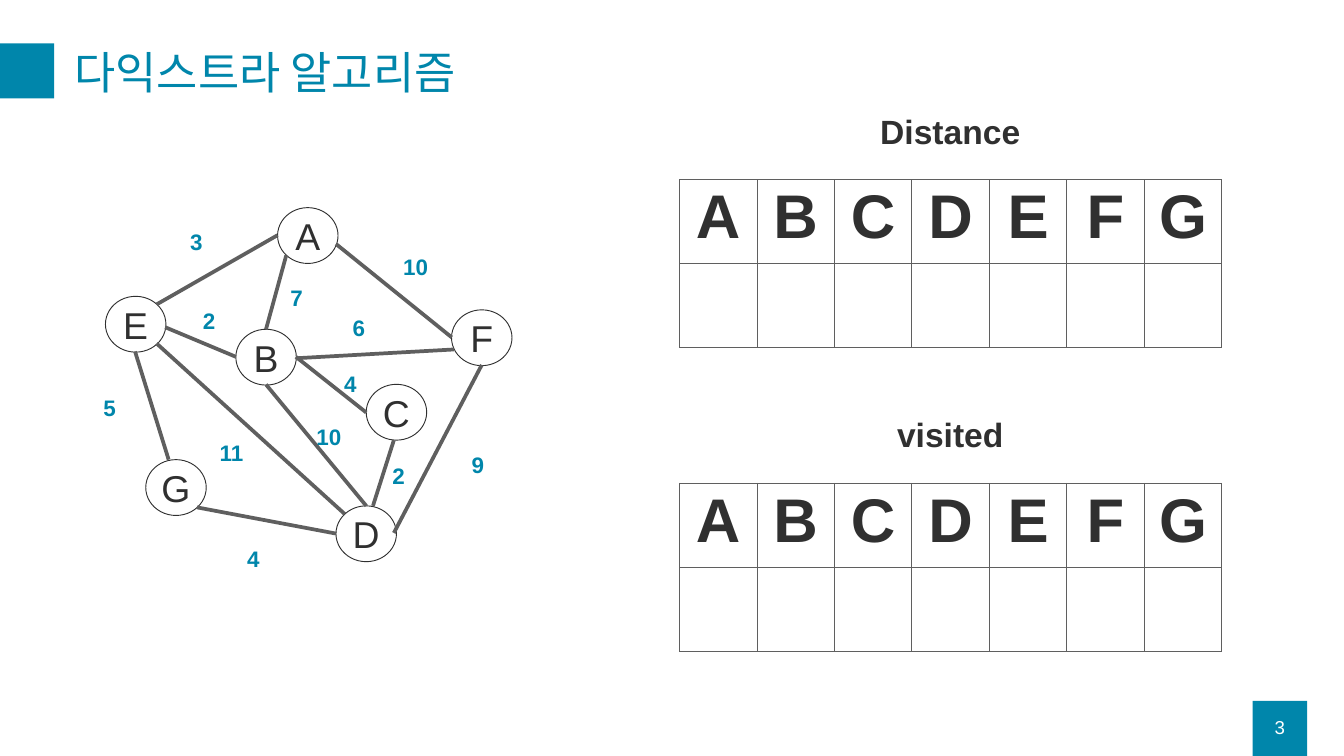
import pptx
import pptx.dml.color
import pptx.enum.shapes
import pptx.enum.text
import pptx.oxml
import pptx.oxml.ns
import pptx.util
from lxml import etree

Pt = pptx.util.Pt
ALIGN = pptx.enum.text.PP_ALIGN
ANCHOR = pptx.enum.text.MSO_ANCHOR
SHAPES = pptx.enum.shapes.MSO_SHAPE
TEAL, INK, GREY, WHITE = "0086AB", "303030", "5F5F5F", "FFFFFF"


def color(target, value):
    """Give a font, fill or line format a solid colour from a hex string."""
    if hasattr(target, "solid"):
        target.solid()
        target = target.fore_color
    else:
        target = target.color
    target.rgb = pptx.dml.color.RGBColor.from_string(value)


def write(frame, text, size=24, ink=TEAL, bold=False, align=ALIGN.LEFT, anchor=ANCHOR.TOP):
    frame.word_wrap = True
    frame.vertical_anchor = anchor
    para = frame.paragraphs[0]
    para.alignment = align
    span = para.add_run()
    span.text = text
    span.font.name = "Arial"
    span.font.size = Pt(size)
    span.font.bold = bold
    color(span.font, ink)


deck = pptx.Presentation()
deck.slide_width, deck.slide_height = Pt(1440), Pt(810)
page = deck.slides.add_slide(deck.slide_layouts[5])

# Accent squares, title and page number
for left, top in [(1342, 751), (-0.5, 46.5)]:
    square = page.shapes.add_shape(SHAPES.RECTANGLE, Pt(left), Pt(top), Pt(58.5), Pt(59))
    square.shadow.inherit = False
    color(square.fill, TEAL)
    square.line.fill.background()

title = page.shapes.title
title.left, title.top, title.width, title.height = Pt(72.7), Pt(37.5), Pt(1314), Pt(85)
title.text_frame.auto_size = pptx.enum.text.MSO_AUTO_SIZE.NONE
write(title.text_frame, "다익스트라 알고리즘", size=48, anchor=ANCHOR.MIDDLE)
title.text_frame.paragraphs[0].line_spacing = 0.9

number = page.shapes.add_textbox(Pt(1342), Pt(757.5), Pt(58.5), Pt(43))
write(number.text_frame, "3", size=20, ink=WHITE, align=ALIGN.CENTER, anchor=ANCHOR.MIDDLE)

# Graph nodes: top left corner of each circle
nodes = {
    "A": (297.4, 222.5), "B": (252.7, 352.8), "C": (392.4, 411.8), "F": (483.8, 332),
    "D": (360, 542), "G": (156.2, 492.5), "E": (113, 317.5),
}
for name, (left, top) in nodes.items():
    node = page.shapes.add_shape(SHAPES.OVAL, Pt(left), Pt(top), Pt(64.8), Pt(59.8))
    node.shadow.inherit = False
    color(node.fill, WHITE)
    color(node.line, INK)
    node.line.width = Pt(1)
    write(node.text_frame, name, size=40, ink=INK, align=ALIGN.CENTER, anchor=ANCHOR.MIDDLE)

# Graph edges: start, end, weight, corner of the weight's box
edges = [
    ((306.7, 273.6), (285, 352.8), "7", (304, 301)),  # A-B
    ((317, 382.3), (392.4, 442), "4", (361.5, 393)),  # B-C
    ((360, 261.4), (484, 361.5), "10", (424.8, 268)),  # A-F
    ((422, 471.6), (399.6, 542), "2", (413.3, 491.8)),  # C-D
    ((516.2, 391), (422, 571), "9", (498.2, 480.2)),  # F-D
    ((285, 412), (392.4, 542), "10", (332, 450)),  # B-D
    ((211, 543.6), (360, 571.7), "4", (257.8, 580.3)),  # G-D
    ((144.7, 376.6), (180.7, 492.5), "5", (103.7, 419)),  # E-G
    ((167.8, 368), (369.4, 550.8), "11", (228.2, 466.6)),  # E-D
    ((177, 350.6), (252.7, 382.3), "2", (210.2, 325.4)),  # E-B
    ((167.8, 326.2), (297.4, 252), "3", (196.6, 240.5)),  # E-A
    ((318.2, 383.8), (486.7, 374.4), "6", (370.8, 332.6)),  # B-F
]
for start, end, weight, (left, top) in edges:
    edge = page.shapes.add_connector(
        pptx.enum.shapes.MSO_CONNECTOR.STRAIGHT, *map(Pt, start + end))
    color(edge.line, GREY)
    edge.line.width = Pt(4)
    etree.SubElement(edge._element.spPr, pptx.oxml.ns.qn("a:effectLst"))
    label = page.shapes.add_textbox(Pt(left), Pt(top), Pt(49), Pt(36))
    write(label.text_frame, weight, bold=True)

# Two empty tables, one column for each node
border = (
    '<a:{side} xmlns:a="http://schemas.openxmlformats.org/drawingml/2006/main" w="12700">'
    '<a:solidFill><a:srgbClr val="{ink}"/></a:solidFill></a:{side}>'
)
letters = sorted(nodes)
for heading, heading_top, table_top in [("Distance", 115.2, 192.3), ("visited", 440, 517.7)]:
    caption = page.shapes.add_textbox(Pt(746), Pt(heading_top), Pt(544.3), Pt(51))
    write(caption.text_frame, heading, size=36, ink=INK, bold=True, align=ALIGN.CENTER)
    table = page.shapes.add_table(
        2, len(letters), Pt(728), Pt(table_top), Pt(581), Pt(180)).table
    for letter, cell in zip(letters, table.rows[0].cells):
        write(cell.text_frame, letter, size=66, ink=INK, bold=True, align=ALIGN.CENTER)
    for cell in table.iter_cells():
        color(cell.fill, WHITE)
        properties = cell._tc.get_or_add_tcPr()
        for place, side in enumerate(["lnL", "lnR", "lnT", "lnB"]):
            properties.insert(place, pptx.oxml.parse_xml(border.format(side=side, ink=GREY)))

deck.save("out.pptx")
